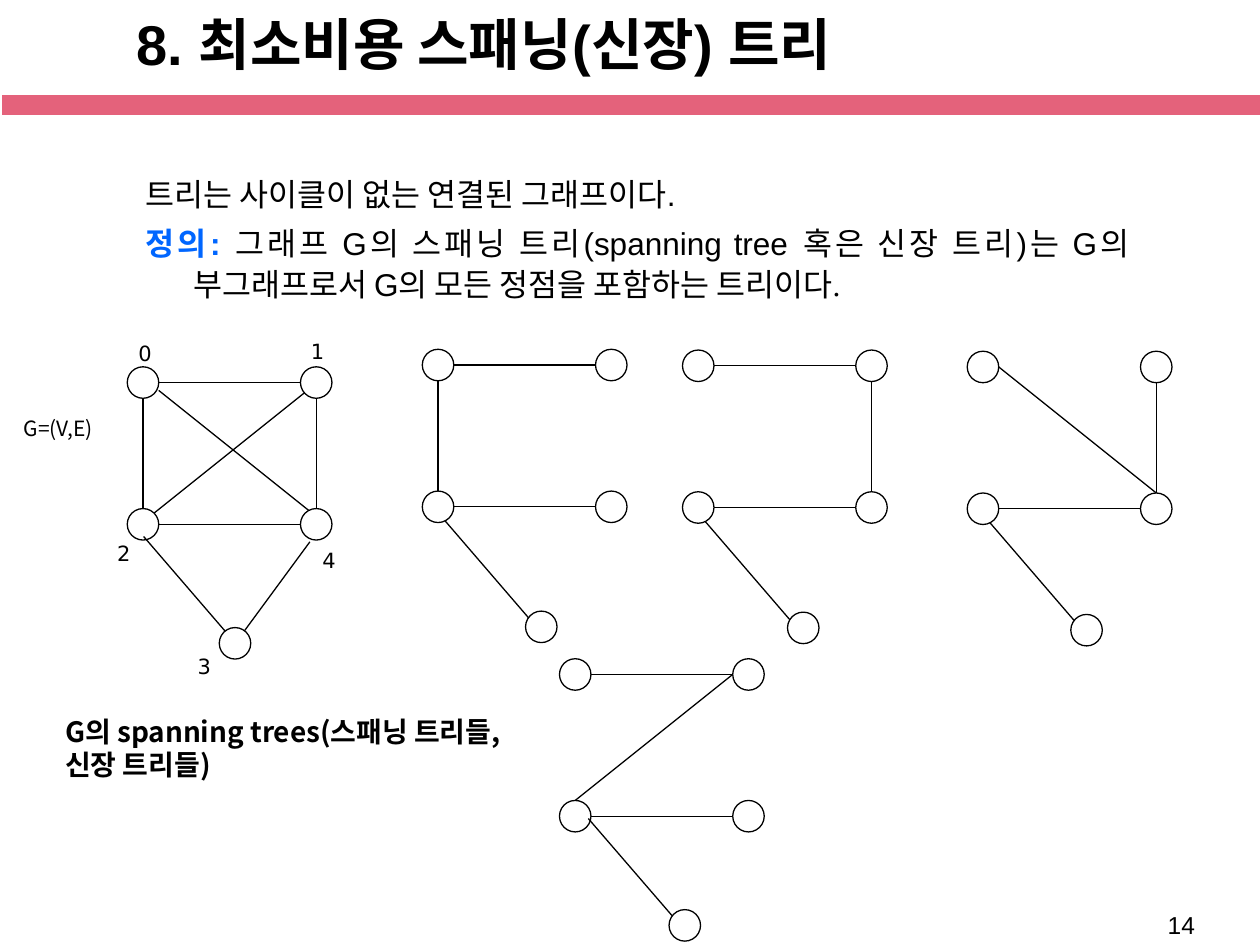
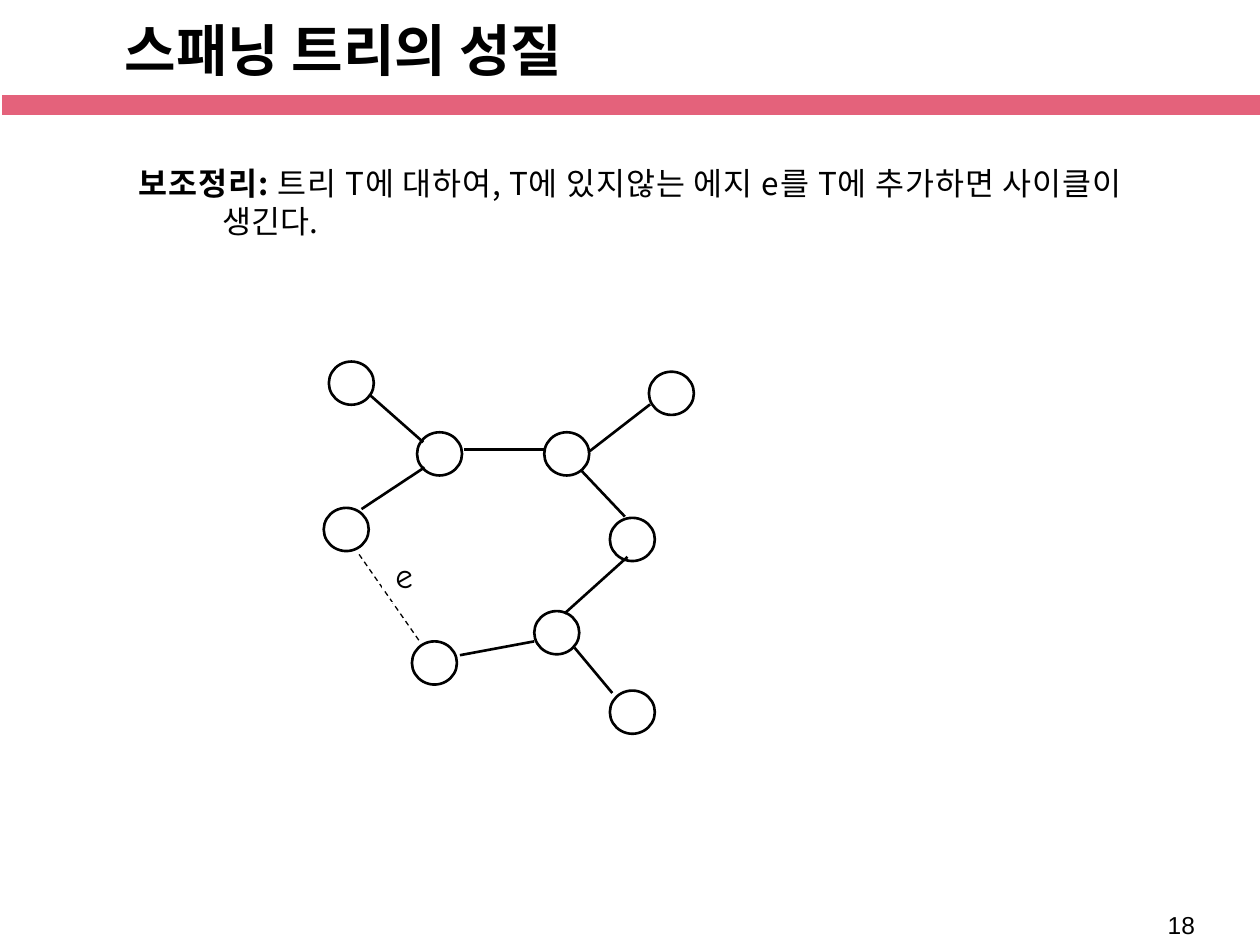
from dataclasses import dataclass

from lxml import etree
from pptx import Presentation
from pptx.dml.color import RGBColor
from pptx.enum import dml, shapes, text
from pptx.oxml import ns
from pptx.util import Pt


@dataclass(frozen=True)
class Theme:
    black: RGBColor = RGBColor(0, 0, 0)
    white: RGBColor = RGBColor(255, 255, 255)
    band: RGBColor = RGBColor(0xE4, 0x62, 0x7B)
    term: RGBColor = RGBColor(0, 0x66, 0xFF)
    sans: str = "Arial"
    serif: str = "Times New Roman"
    korean: str = "Noto Sans CJK KR"
    digits: str = "DejaVu Sans"
    hand: str = "Comic Neue"
    title_size: int = 32
    edge_size: int = 20
    body_size: int = 18
    caption_size: int = 16
    number_size: int = 14
    label_size: int = 12
    thin: float = 0.75
    thick: float = 1.5


THEME = Theme()

# A paragraph is a list of runs: (text, font, bold, colour)
TREES_TITLE = "8. 최소비용 스패닝(신장) 트리"
DEFINITION = [
    [("트리는 사이클이 없는 연결된 그래프이다.", THEME.sans, False, THEME.black)],
    [("정의: ", THEME.sans, True, THEME.term),
     ("그래프 G의 스패닝 트리(spanning tree 혹은 신장 트리)는 G의 "
      "부그래프로서 G의 모든 정점을 포함하는 트리이다", THEME.sans, False, THEME.black),
     (".", THEME.serif, False, THEME.black)],
]
CAPTION = "G의 spanning trees(스패닝 트리들, 신장 트리들)"

PROPERTY_TITLE = "스패닝 트리의 성질"
LEMMA = [
    [("보조정리: ", THEME.korean, True, THEME.black),
     ("트리 T에 대하여, T에 있지않는 에지 e를 T에 추가하면 사이클이 생긴다.",
      THEME.korean, False, THEME.black)],
]

# Small graphs: four corner vertices and a lower one, measured from the graph's origin
VERTEX = 18
COLUMN, ROW = 99, 81
CORNERS = [(x, y) for y in (0, ROW) for x in (0, COLUMN)]
HALF = VERTEX / 2
TOP = (VERTEX, HALF, COLUMN, HALF)
BOTTOM = (VERTEX, ROW + HALF, COLUMN, ROW + HALF)
LEFT = (HALF, VERTEX, HALF, ROW)
RIGHT = (COLUMN + HALF, VERTEX, COLUMN + HALF, ROW)
FALLING = (VERTEX, HALF, COLUMN + HALF, ROW)
RISING = (COLUMN, HALF, HALF, ROW)
TAIL = (13, 98, 62.6, 155.6)

# origin, edges between corners, edges to the lower vertex, lower vertex
GRAPHS = [
    ((72.7, 209.6),
     [TOP, LEFT, BOTTOM, RIGHT, (103, 13.5, 13, 85.5), (18, 13.5, 108, 85.5)],
     [(9.4, 97, 59, 154.6), (104.4, 100, 62, 157.7)], (52.6, 149)),
    ((241.3, 199.6), [TOP, LEFT, BOTTOM], [TAIL], (59, 149.6)),
    ((390, 200), [TOP, BOTTOM, RIGHT], [TAIL], (60, 149.8)),
    ((552.7, 200.7), [BOTTOM, RIGHT, FALLING], [TAIL], (59.2, 150.4)),
    ((319.7, 376.4), [TOP, BOTTOM, RISING], [(16.5, 91.4, 66.2, 149)], (62.6, 143.4)),
]
VERTEX_LABELS = [
    ("0", 72, 190.8), ("1", 170.6, 190.1), ("2", 59.8, 305.3),
    ("3", 105.8, 370), ("4", 177.1, 309.6),
]

# Large tree on the second slide
NODE_SIZE = (25.7, 24.7)
TREE_NODES = [
    (185, 290.2), (238.3, 247), (187.9, 206.6), (311, 247), (370.8, 212.4),
    (348.5, 295.9), (305.3, 349.2), (235.4, 366.5), (348.5, 394.6),
]
TREE_EDGES = [
    (211, 225.4, 241.9, 252.7), (242.6, 267.1, 206.6, 290.9), (311, 257, 265, 257),
    (371.5, 231.1, 337, 257.8), (357.1, 295.2, 331.9, 268.6),
    (322.6, 350.6, 358.6, 318.2), (262.8, 374.4, 305.3, 366.5),
    (328.3, 370.1, 349.9, 396),
]
ADDED_EDGE = (205.2, 316.8, 239.8, 366.5)


def points(values):
    return [Pt(value) for value in values]


def style_run(run, font, size, bold=False, color=THEME.black):
    run.font.name, run.font.size, run.font.bold = font, Pt(size), bold
    run.font.color.rgb = color
    east_asian = etree.SubElement(run._r.get_or_add_rPr(), ns.qn("a:ea"))
    east_asian.set("typeface", THEME.korean)


def add_label(slide, words, box, font, size, bold=False, wrap=True):
    shape = slide.shapes.add_textbox(*points(box))
    shape.text_frame.word_wrap = wrap
    paragraph = shape.text_frame.paragraphs[0]
    paragraph.text = words
    style_run(paragraph.runs[0], font, size, bold)
    return shape


def add_body(slide, paragraphs, box, hanging, line_spacing):
    """Justified paragraphs with a hanging indent."""
    frame = slide.shapes.add_textbox(*points(box)).text_frame
    frame.word_wrap = True
    for index, runs in enumerate(paragraphs):
        paragraph = frame.add_paragraph() if index else frame.paragraphs[0]
        paragraph.alignment = text.PP_ALIGN.JUSTIFY
        paragraph.line_spacing = line_spacing
        paragraph.space_before = Pt(4)
        properties = paragraph._p.get_or_add_pPr()
        properties.set("marL", str(Pt(hanging)))
        properties.set("indent", str(-Pt(hanging)))
        for words, font, bold, color in runs:
            run = paragraph.add_run()
            run.text = words
            style_run(run, font, THEME.body_size, bold, color)


def add_edge(slide, ends, width=THEME.thin):
    edge = slide.shapes.add_connector(shapes.MSO_CONNECTOR.STRAIGHT, *points(ends))
    edge.line.color.rgb = THEME.black
    edge.line.width = Pt(width)
    etree.SubElement(edge._element.spPr, ns.qn("a:effectLst"))
    return edge


def add_preset(slide, kind, box, fill, line, width):
    shape = slide.shapes.add_shape(kind, *points(box))
    shape.shadow.inherit = False
    if fill is None:
        shape.fill.background()
    else:
        shape.fill.solid()
        shape.fill.fore_color.rgb = fill
    shape.line.color.rgb = line
    shape.line.width = Pt(width)
    return shape


def add_node(slide, box, fill=THEME.white, width=THEME.thin):
    add_preset(slide, shapes.MSO_SHAPE.OVAL, box, fill, THEME.black, width)


def add_slide(presentation, title, left, top, number):
    """A slide with the shared title style, band and page number."""
    slide = presentation.slides.add_slide(presentation.slide_layouts[5])
    add_preset(slide, shapes.MSO_SHAPE.RECTANGLE, (0.7, 54, 720, 12.3),
               THEME.band, THEME.white, 1)
    add_label(slide, number, (660.2, 516.2, 41, 24), THEME.sans, THEME.number_size)
    shape = slide.shapes.title
    shape.left, shape.top, shape.width, shape.height = points((left, top, 613.4, 49))
    frame = shape.text_frame
    frame.text = title
    frame.word_wrap = True
    frame.auto_size = text.MSO_AUTO_SIZE.NONE
    frame.vertical_anchor = text.MSO_ANCHOR.MIDDLE
    frame.paragraphs[0].alignment = text.PP_ALIGN.LEFT
    style_run(frame.paragraphs[0].runs[0], THEME.sans, THEME.title_size, True)
    return slide


def add_graph(slide, origin, corner_edges, lower_edges, lower_vertex):
    x, y = origin

    def draw(edges, vertices):
        for x1, y1, x2, y2 in edges:
            add_edge(slide, (x + x1, y + y1, x + x2, y + y2))
        for dx, dy in vertices:
            add_node(slide, (x + dx, y + dy, VERTEX, VERTEX))

    draw(corner_edges, CORNERS)
    draw(lower_edges, [lower_vertex])


def build_spanning_trees(presentation):
    slide = add_slide(presentation, TREES_TITLE, 70.6, 0, "14")
    add_body(slide, DEFINITION, (76.3, 94.3, 576, 90), 27, 1.1)
    for graph in GRAPHS:
        add_graph(slide, *graph)
    add_label(slide, CAPTION, (30.2, 404.6, 278, 46), THEME.korean,
              THEME.caption_size, bold=True)
    add_label(slide, "G=(V,E)", (6.5, 234, 59, 21.6), THEME.korean,
              THEME.label_size, wrap=False)
    for words, left, top in VERTEX_LABELS:
        add_label(slide, words, (left, top, 25.2, 21.6), THEME.digits, THEME.label_size)


def build_tree_property(presentation):
    slide = add_slide(presentation, PROPERTY_TITLE, 64, 3.6, "18")
    add_body(slide, LEMMA, (72, 90, 576, 364), 48, 1.0)
    for left, top in TREE_NODES:
        add_node(slide, (left, top, *NODE_SIZE), None, THEME.thick)
    for ends in TREE_EDGES:
        add_edge(slide, ends, THEME.thick)
    add_edge(slide, ADDED_EDGE).line.dash_style = dml.MSO_LINE.DASH
    label = add_label(slide, "e", (218.9, 312.5, 25.9, 31.7), THEME.hand,
                      THEME.edge_size, wrap=False)
    label.line.color.rgb = THEME.white
    label.line.width = Pt(THEME.thin)


def main():
    presentation = Presentation()
    presentation.slide_width, presentation.slide_height = Pt(720), Pt(540)
    build_spanning_trees(presentation)
    build_tree_property(presentation)
    presentation.save("out.pptx")


if __name__ == "__main__":
    main()
